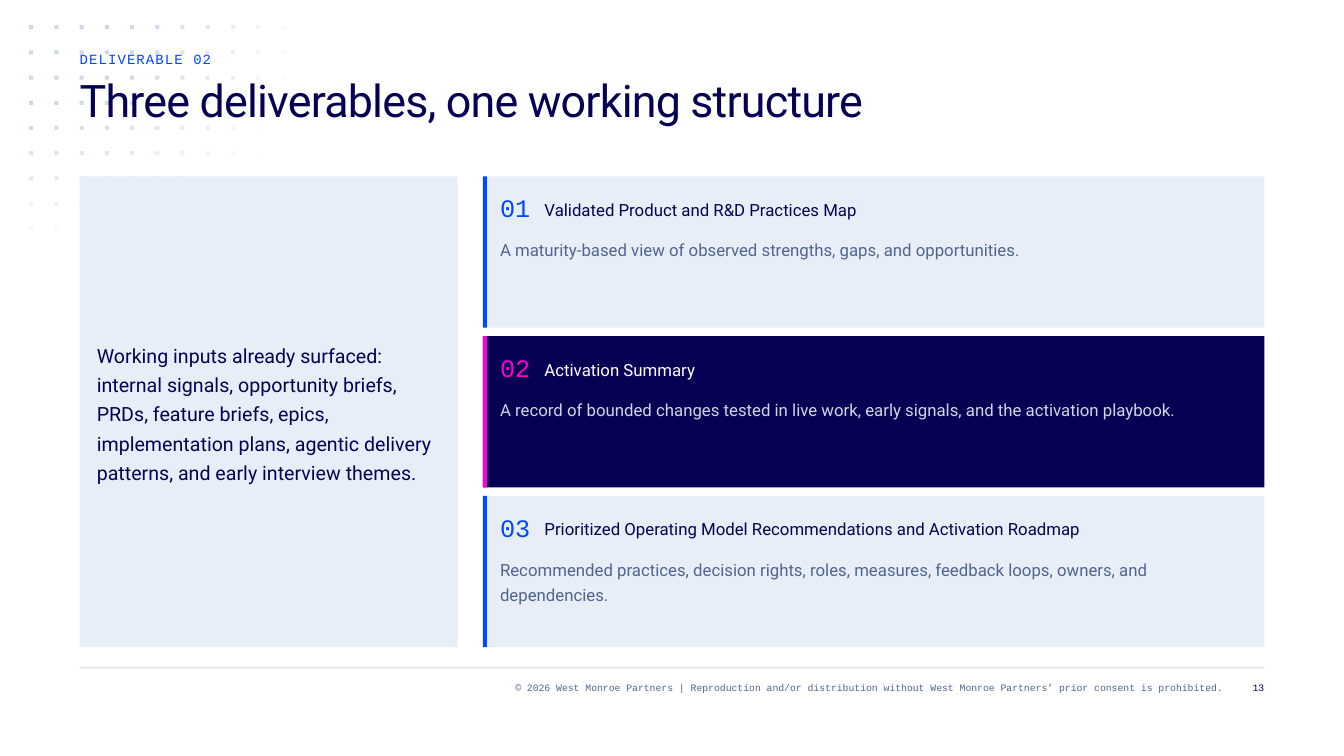
from math import hypot
from pptx import Presentation
from pptx.dml.color import RGBColor
from pptx.enum.shapes import MSO_SHAPE
from pptx.enum.text import MSO_ANCHOR, MSO_AUTO_SIZE, PP_ALIGN
from pptx.oxml.ns import qn
from pptx.util import Inches, Pt
from lxml.etree import SubElement

EYEBROW = "DELIVERABLE 02"
TITLE = "Three deliverables, one working structure"
INPUTS = (
    "Working inputs already surfaced: internal signals, opportunity briefs, PRDs, "
    "feature briefs, epics, implementation plans, agentic delivery patterns, "
    "and early interview themes."
)
DELIVERABLES = [
    ("Validated Product and R&D Practices Map",
     "A maturity-based view of observed strengths, gaps, and opportunities.", "light"),
    ("Activation Summary",
     "A record of bounded changes tested in live work, early signals, "
     "and the activation playbook.", "dark"),
    ("Prioritized Operating Model Recommendations and Activation Roadmap",
     "Recommended practices, decision rights, roles, measures, feedback loops, "
     "owners, and dependencies.", "light"),
]
COPYRIGHT = (
    "© 2026 West Monroe Partners | Reproduction and/or distribution without "
    "West Monroe Partners’ prior consent is prohibited."
)
PAGE_NUMBER = "13"

COLORS = {
    "navy": "070154", "blue": "0047FF", "pink": "F900D3", "slate": "50658E",
    "mist": "CED7E6", "panel": "E8EEF8", "white": "FFFFFF",
}
CARD_STYLES = {
    "light": {"fill": "panel", "accent": "blue", "heading": "navy", "body": "slate"},
    "dark": {"fill": "navy", "accent": "pink", "heading": "white", "body": "mist"},
}
SANS, MONO = "Roboto", "Courier New"

LEFT, RIGHT, TOP = 0.79, 12.54, 1.75
CARD_LEFT, CARD_HEIGHT, CARD_PITCH = 4.79, 1.5, 1.585
CARD_TEXT_LEFT, CARD_TEXT_RIGHT = 4.96, 12.42
DOT_PITCH, DOT_SIZE = 0.25, 0.04
FADE_COLUMNS, FADE_ROWS, FADE_STRENGTH = 11.08, 9.07, 153

deck = Presentation()
deck.slide_width, deck.slide_height = Inches(13.33), Inches(7.5)
page = deck.slides.add_slide(deck.slide_layouts[5])


def color(name):
    return RGBColor.from_string(COLORS[name])


def place(shape, left, top, width, height):
    shape.left, shape.top = Inches(left), Inches(top)
    shape.width, shape.height = Inches(width), Inches(height)


def add_block(left, top, width, height, fill, opacity=100):
    block = page.shapes.add_shape(
        MSO_SHAPE.RECTANGLE, Inches(left), Inches(top), Inches(width), Inches(height))
    block.shadow.inherit = False
    block.line.fill.background()
    block.fill.solid()
    block.fill.fore_color.rgb = color(fill)
    if opacity < 100:
        tint = block.fill._xPr.find(".//" + qn("a:srgbClr"))
        SubElement(tint, qn("a:alpha"), val=str(opacity * 1000))


def write(box, text, font, size, ink, leading, align=PP_ALIGN.LEFT, tracking=0):
    frame = box.text_frame
    frame.text = text
    frame.word_wrap = True
    frame.auto_size = MSO_AUTO_SIZE.NONE
    frame.vertical_anchor = MSO_ANCHOR.TOP
    frame.margin_left = frame.margin_top = frame.margin_right = frame.margin_bottom = 0
    para = frame.paragraphs[0]
    para.alignment = align
    para.line_spacing = Pt(leading)
    span = para.runs[0]
    span.font.name, span.font.size = font, Pt(size)
    span.font.color.rgb = color(ink)
    if tracking:
        span.font._element.set("spc", str(round(tracking * 100)))


def add_text(left, top, width, height, *content, **options):
    box = page.shapes.add_textbox(0, 0, 0, 0)
    place(box, left, top, width, height)
    write(box, *content, **options)


def add_dots():
    for column in range(11):
        for row in range(9 if column < 3 else 7):
            distance = hypot(column / FADE_COLUMNS, row / FADE_ROWS)
            opacity = min(100, round(FADE_STRENGTH * (1 - distance)))
            if opacity > 0:
                add_block(0.29 + column * DOT_PITCH, 0.25 + row * DOT_PITCH,
                          DOT_SIZE, DOT_SIZE, "mist", opacity)


def add_card(index, heading, body, style_name):
    style = CARD_STYLES[style_name]
    top = TOP + index * CARD_PITCH
    body_width = CARD_TEXT_RIGHT - CARD_TEXT_LEFT
    add_block(CARD_LEFT, top, RIGHT - CARD_LEFT, CARD_HEIGHT, style["fill"])
    add_block(CARD_LEFT, top, 0.04, CARD_HEIGHT, style["accent"])
    add_text(CARD_TEXT_LEFT, top + 0.125, 0.31, 0.33,
             f"{index + 1:02}", MONO, 18, style["accent"], 24)
    add_text(5.4, top + 0.18, CARD_TEXT_RIGHT - 5.4, 0.25,
             heading, SANS, 12, style["heading"], 18)
    add_text(CARD_TEXT_LEFT, top + 0.58, body_width, 0.5,
             body, SANS, 12, style["body"], 18)


add_block(LEFT, 6.62, RIGHT - LEFT, 0.01, "mist")
add_dots()
add_text(2.38, 6.75, 9.75, 0.25, COPYRIGHT, MONO, 7, "slate", 9, align=PP_ALIGN.RIGHT)
add_text(12.21, 6.75, 0.33, 0.25, PAGE_NUMBER, MONO, 7, "navy", 9, align=PP_ALIGN.RIGHT)

for index, deliverable in enumerate(DELIVERABLES):
    add_card(index, *deliverable)

add_block(LEFT, TOP, 3.75, 2 * CARD_PITCH + CARD_HEIGHT, "panel")
add_text(0.96, 3.35, 3.42, 1.46, INPUTS, SANS, 14, "navy", 21)

title = page.shapes.title
place(title, LEFT, 0.75, 10.25, 1)
write(title, TITLE, SANS, 32, "navy", 36, tracking=-0.6)
title.element.getparent().append(title.element)
add_text(LEFT, 0.5, 10.25, 0.25, EYEBROW, MONO, 10, "blue", 12, tracking=0.8)

deck.save("out.pptx")
